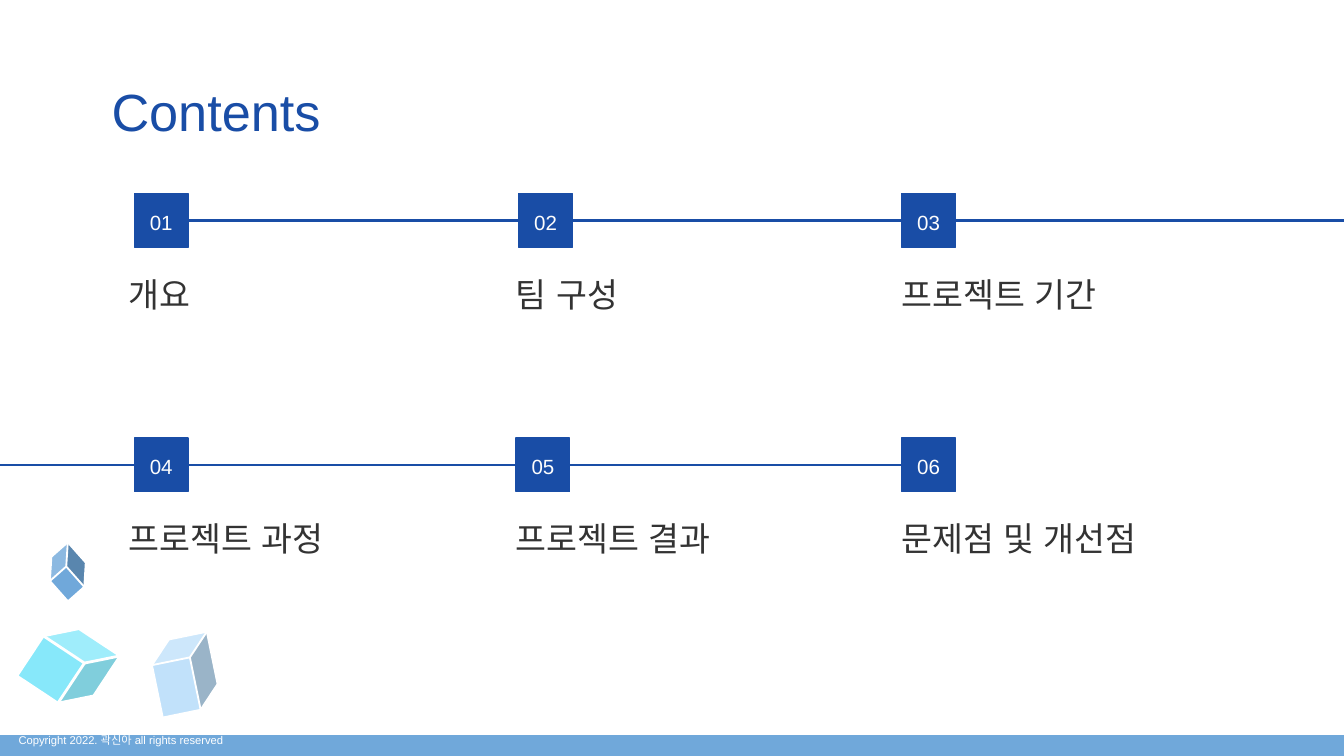
"""Build a contents slide with six numbered sections on two timelines."""
from lxml import etree
from pptx import Presentation
from pptx.dml.color import RGBColor
from pptx.enum.shapes import MSO_CONNECTOR, MSO_SHAPE
from pptx.enum.text import MSO_ANCHOR, MSO_AUTO_SIZE, PP_ALIGN
from pptx.oxml.ns import qn
from pptx.util import Inches, Pt

STRAIGHT = MSO_CONNECTOR.STRAIGHT
CUBE, RECTANGLE = MSO_SHAPE.CUBE, MSO_SHAPE.RECTANGLE
TOP, MIDDLE, BOTTOM = MSO_ANCHOR.TOP, MSO_ANCHOR.MIDDLE, MSO_ANCHOR.BOTTOM
LEFT, CENTER = PP_ALIGN.LEFT, PP_ALIGN.CENTER
NO_AUTOFIT, GROW = MSO_AUTO_SIZE.NONE, MSO_AUTO_SIZE.SHAPE_TO_FIT_TEXT

NAVY = RGBColor(0x19, 0x4D, 0xA6)
SKY = RGBColor(0x70, 0xA8, 0xDA)
CYAN = RGBColor(0x37, 0xDA, 0xF8)
PALE_BLUE = RGBColor(0xC1, 0xE1, 0xFA)
WHITE = RGBColor(0xFF, 0xFF, 0xFF)
OFF_WHITE = RGBColor(0xFD, 0xFD, 0xFD)
DARK_GRAY = RGBColor(0x33, 0x33, 0x33)

presentation = Presentation()
presentation.slide_width = Inches(10)
presentation.slide_height = Inches(10 * 9 / 16)
slide = presentation.slides.add_slide(presentation.slide_layouts[5])
shapes = slide.shapes


def write_text(shape, text, size, color, anchor=TOP, alignment=LEFT, spacing=1.0):
    frame = shape.text_frame
    frame.auto_size = NO_AUTOFIT
    frame.word_wrap = True
    frame.vertical_anchor = anchor
    frame.margin_left = frame.margin_right = Inches(0.1)
    frame.margin_top = frame.margin_bottom = Inches(0.1)
    paragraph = frame.paragraphs[0]
    paragraph.alignment = alignment
    paragraph.line_spacing = spacing
    paragraph.space_before = Pt(0)
    run = paragraph.add_run()
    run.text = text
    run.font.size = Pt(size)
    run.font.color.rgb = color
    run.font.name = "Arial"
    etree.SubElement(run.font._element, qn("a:ea"), typeface="Arial")


def add_line(start, end, y, color, width):
    line = shapes.add_connector(STRAIGHT, Inches(start), Inches(y), Inches(end), Inches(y))
    line.line.color.rgb = color
    line.line.width = Pt(width)
    etree.SubElement(line._element.spPr, qn("a:effectLst"))


title = shapes.title
title.left, title.top = Inches(0.73), Inches(0.49)
title.width, title.height = Inches(8.43), Inches(0.63)
write_text(title, "Contents", 28, NAVY)

add_line(0, 10, 5.55, SKY, 12)

cubes = [
    (0.23, 4.68, 0.56, 0.55, 33.5, 0.35, CYAN, 1.5),
    (0.36, 4.09, 0.29, 0.33, 318.5, 0.44, SKY, 1),
    (1.15, 4.74, 0.45, 0.56, 348.4, 0.36, PALE_BLUE, 1),
]
for left, top, width, height, rotation, depth, color, outline in cubes:
    cube = shapes.add_shape(CUBE, Inches(left), Inches(top), Inches(width), Inches(height))
    cube.shadow.inherit = False
    cube.rotation = rotation
    cube.adjustments[0] = depth
    cube.fill.solid()
    cube.fill.fore_color.rgb = color
    cube.line.color.rgb = WHITE
    cube.line.width = Pt(outline)
    if color == CYAN:
        cyan_fill = cube._element.spPr.find(qn("a:solidFill")).find(qn("a:srgbClr"))
        etree.SubElement(cyan_fill, qn("a:alpha"), val="60000")

copyright_box = shapes.add_textbox(Inches(0.04), Inches(5.41), Inches(2.26), Inches(0.3))
write_text(copyright_box, "Copyright 2022. 곽신아 all rights reserved", 6, WHITE)
copyright_box.text_frame.auto_size = GROW

add_line(0, 6.71, 3.46, NAVY, 1.5)
add_line(1.41, 10, 1.64, NAVY, 1.5)

label_lefts = (0.86, 3.74, 6.61)
rows = [
    (1.44, 2.02, (1.0, 3.86, 6.71), ("개요", "팀 구성", "프로젝트 기간")),
    (3.26, 3.83, (1.0, 3.84, 6.71), ("프로젝트 과정", "프로젝트 결과", "문제점 및 개선점")),
]
number = 0
for badge_top, label_top, badge_lefts, labels in rows:
    for badge_left, label_left, label in zip(badge_lefts, label_lefts, labels):
        number += 1
        badge = shapes.add_shape(
            RECTANGLE, Inches(badge_left), Inches(badge_top), Inches(0.4), Inches(0.4)
        )
        badge.shadow.inherit = False
        badge.fill.solid()
        badge.fill.fore_color.rgb = NAVY
        badge.line.color.rgb = NAVY
        badge.line.width = Pt(0.75)
        write_text(badge, f"{number:02}", 11, OFF_WHITE, MIDDLE, CENTER, 1.15)
        label_box = shapes.add_textbox(
            Inches(label_left), Inches(label_top), Inches(2.52), Inches(0.42)
        )
        write_text(label_box, label, 18, DARK_GRAY, BOTTOM, LEFT, 1.15)

presentation.save("out.pptx")
